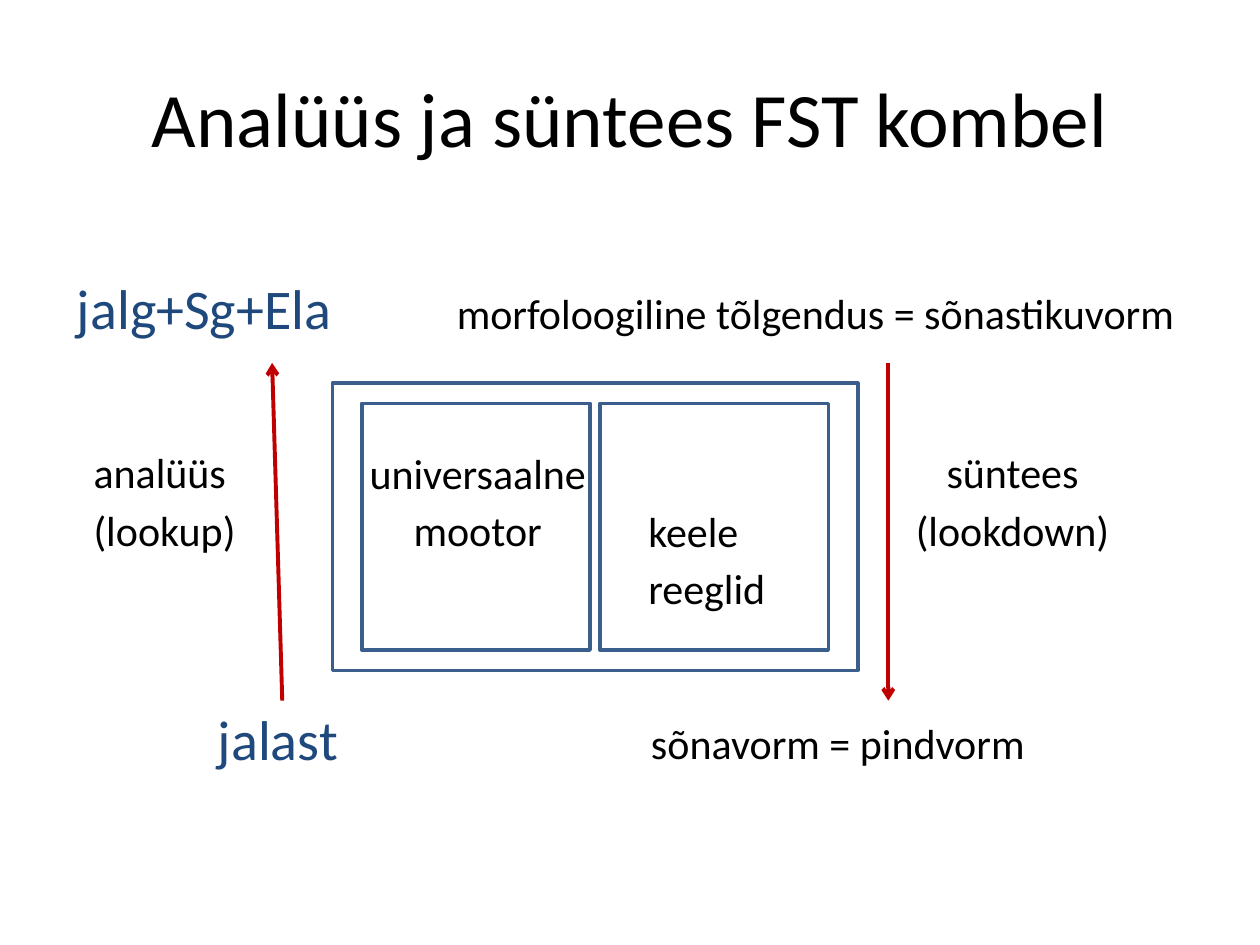
from dataclasses import dataclass

from lxml.etree import SubElement
from pptx import Presentation
from pptx.dml.color import RGBColor
from pptx.enum.shapes import MSO_CONNECTOR, MSO_SHAPE
from pptx.enum.text import MSO_ANCHOR, PP_ALIGN
from pptx.oxml.ns import qn
from pptx.util import Pt


@dataclass(frozen=True)
class Theme:
    """Colours, font and type sizes of the slide."""

    font: str = "Calibri"
    title_size: float = 44
    word_size: float = 32
    label_size: float = 24
    line_gap: float = 4
    ascent: float = 0.95
    ink: RGBColor = RGBColor(0x00, 0x00, 0x00)
    word: RGBColor = RGBColor(0x1F, 0x49, 0x7D)
    frame: RGBColor = RGBColor(0x3A, 0x5F, 0x8C)
    arrow: RGBColor = RGBColor(0xC0, 0x00, 0x00)


THEME = Theme()


def add_text(slide, box, lines, size=THEME.label_size, color=THEME.ink,
             align=PP_ALIGN.LEFT, anchor=MSO_ANCHOR.TOP):
    """Place lines of text in a box without margins."""
    text_frame = slide.shapes.add_textbox(*map(Pt, box)).text_frame
    text_frame.margin_left = text_frame.margin_right = 0
    text_frame.margin_top = text_frame.margin_bottom = 0
    text_frame.word_wrap = True
    text_frame.vertical_anchor = anchor
    text_frame.text = "\n".join(lines)
    for index, paragraph in enumerate(text_frame.paragraphs):
        paragraph.alignment = align
        paragraph.space_before = Pt(THEME.line_gap if index else 0)
        font = paragraph.runs[0].font
        font.name, font.size = THEME.font, Pt(size)
        font.color.rgb = color


def add_title(slide, box, title):
    """Place the centred slide title."""
    add_text(slide, box, [title], THEME.title_size,
             align=PP_ALIGN.CENTER, anchor=MSO_ANCHOR.MIDDLE)


def add_word_row(slide, box, word, gloss, gloss_offset):
    """Place an example word and its gloss on a common baseline."""
    left, top, width, height = box
    drop = (THEME.word_size - THEME.label_size) * THEME.ascent
    add_text(slide, (left, top, gloss_offset, height), [word],
             THEME.word_size, THEME.word)
    add_text(slide, (left + gloss_offset, top + drop,
                     width - gloss_offset, height - drop), [gloss])


def add_frame(slide, box):
    """Draw an unfilled outlined rectangle."""
    shape = slide.shapes.add_shape(MSO_SHAPE.RECTANGLE, *map(Pt, box))
    shape.shadow.inherit = False
    shape.fill.background()
    shape.line.color.rgb = THEME.frame
    shape.line.width = Pt(2)


def add_machine(slide, box):
    """Draw the transducer with its engine and its language rules."""
    left, top, width, height = box
    padding_x, padding_y, gap = 16.8, 11.6, 5.8
    part_width = (width - 2 * padding_x - gap) / 2
    part_height = height - 2 * padding_y
    engine_left = left + padding_x
    rules_left = engine_left + part_width + gap
    add_frame(slide, box)
    for part_left in (engine_left, rules_left):
        add_frame(slide, (part_left, top + padding_y, part_width, part_height))
    add_text(slide, (engine_left + 1, top + 36.6, part_width, 64),
             ["universaalne", "mootor"], align=PP_ALIGN.CENTER)
    add_text(slide, (rules_left + 27.5, top + 70, part_width - 30, 64),
             ["keele", "reeglid"])


def add_arrow(slide, start, end):
    """Draw an arrow from start to end."""
    connector = slide.shapes.add_connector(
        MSO_CONNECTOR.STRAIGHT, *map(Pt, (*start, *end)))
    connector.line.color.rgb = THEME.arrow
    connector.line.width = Pt(2.25)
    SubElement(connector.line._get_or_add_ln(), qn("a:tailEnd"), type="arrow")
    SubElement(connector._element.spPr, qn("a:effectLst"))


def add_analysis(slide, box):
    """Place the analysis label with its upward arrow."""
    left, top, width, height = box
    add_text(slide, (left, top + 48, width - 10, 64), ["analüüs", "(lookup)"])
    add_arrow(slide, (left + width, top + height), (left + width - 5.8, top))


def add_synthesis(slide, box):
    """Place the synthesis label with its downward arrow."""
    left, top, width, height = box
    add_arrow(slide, (left, top), (left, top + height))
    add_text(slide, (left + 6, top + 48, width - 6, 64),
             ["süntees", "(lookdown)"], align=PP_ALIGN.CENTER)


def main():
    """Build and save the slide."""
    presentation = Presentation()
    presentation.slide_width, presentation.slide_height = Pt(720), Pt(540)
    slide = presentation.slides.add_slide(presentation.slide_layouts[6])
    add_title(slide, (36, 21.6, 648, 90), "Analüüs ja süntees FST kombel")
    add_word_row(slide, (44, 156.4, 650, 40), "jalg+Sg+Ela",
                 "morfoloogiline tõlgendus = sõnastikuvorm", 217)
    add_machine(slide, (190, 218.9, 300.2, 164.2))
    add_analysis(slide, (53.5, 207.4, 107.8, 193))
    add_synthesis(slide, (507.6, 207.4, 136, 193))
    add_word_row(slide, (124.5, 402.5, 520, 40), "jalast",
                 "sõnavorm = pindvorm", 247.5)
    presentation.save("out.pptx")


if __name__ == "__main__":
    main()
